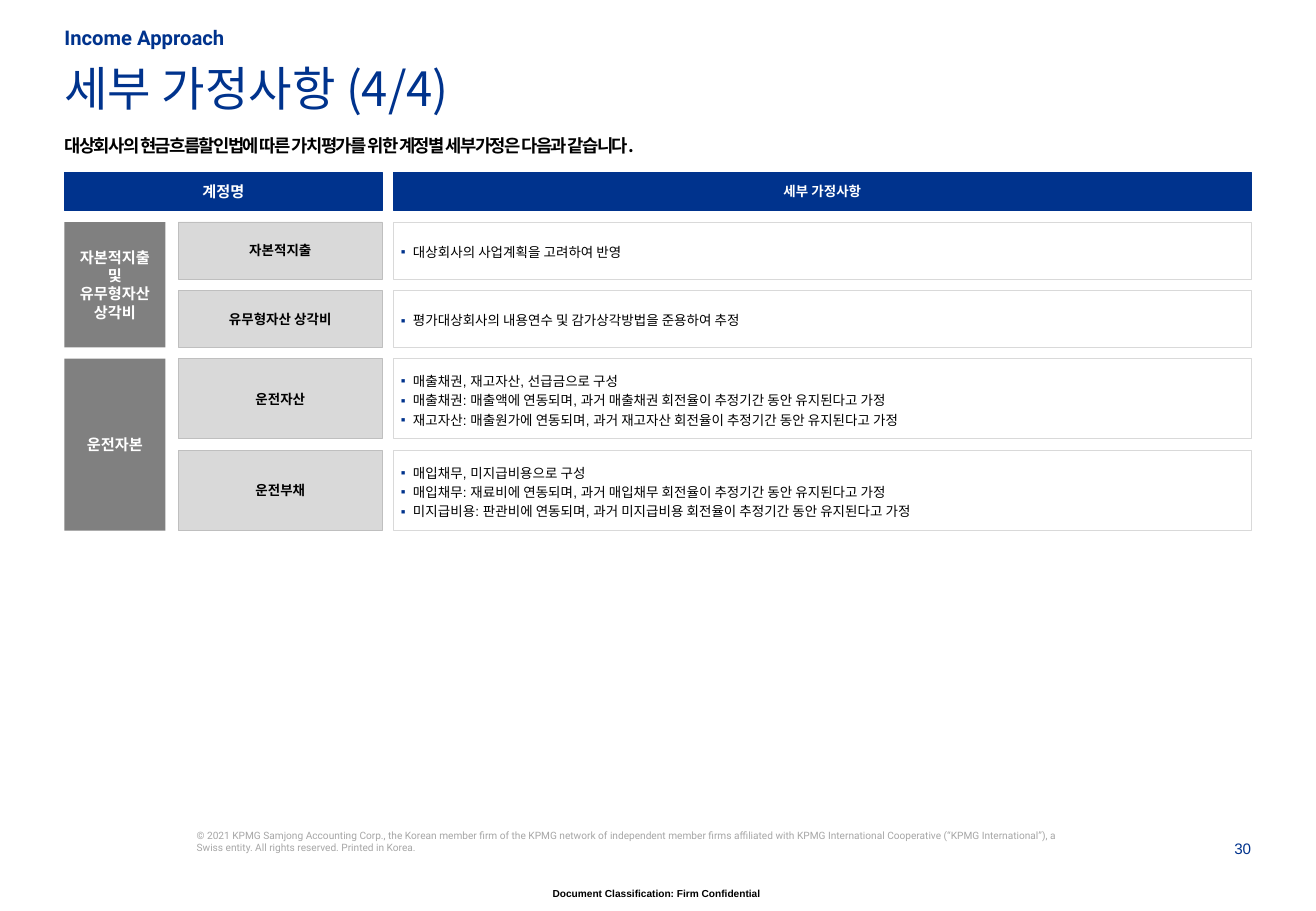
from dataclasses import dataclass

from lxml.etree import SubElement
from pptx import Presentation
from pptx.dml.color import RGBColor
from pptx.enum.shapes import MSO_SHAPE
from pptx.enum.text import MSO_ANCHOR, MSO_AUTO_SIZE, PP_ALIGN
from pptx.oxml.ns import qn
from pptx.util import Pt


@dataclass(frozen=True)
class Theme:
    navy: str = "00338D"
    gray: str = "808080"
    pale: str = "D9D9D9"
    edge: str = "BFBFBF"
    muted: str = "A6A6A6"
    white: str = "FFFFFF"
    black: str = "000000"
    title: float = 28
    section: float = 12
    lead: float = 10.5
    label: float = 9
    body: float = 8
    legal: float = 6
    latin: str = "Arial"
    english: str = "Roboto"
    korean: str = "Noto Sans CJK KR"


THEME = Theme()
LEFT, RIGHT = 38.2, 741.6
ACCOUNT_LEFT, ACCOUNT_WIDTH = 105.8, 120.8
DETAIL_LEFT = 233.3
DETAIL_WIDTH = RIGHT - DETAIL_LEFT
GROUP_WIDTH = 59.8
HEADER_TOP, HEADER_HEIGHT = 102.4, 22.4
ROWS_TOP, ROW_GAP = 131.6, 6.7

GROUPS = [
    (["자본적지출", "및", "유무형자산", "상각비"], 33.8, [
        ("자본적지출", ["대상회사의 사업계획을 고려하여 반영"]),
        ("유무형자산 상각비", ["평가대상회사의 내용연수 및 감가상각방법을 준용하여 추정"]),
    ]),
    (["운전자본"], 47.6, [
        ("운전자산", [
            "매출채권, 재고자산, 선급금으로 구성",
            "매출채권: 매출액에 연동되며, 과거 매출채권 회전율이 추정기간 동안 유지된다고 가정",
            "재고자산: 매출원가에 연동되며, 과거 재고자산 회전율이 추정기간 동안 유지된다고 가정",
        ]),
        ("운전부채", [
            "매입채무, 미지급비용으로 구성",
            "매입채무: 재료비에 연동되며, 과거 매입채무 회전율이 추정기간 동안 유지된다고 가정",
            "미지급비용: 판관비에 연동되며, 과거 미지급비용 회전율이 추정기간 동안 유지된다고 가정",
        ]),
    ]),
]


def color(value):
    return RGBColor.from_string(value)


def write(box, lines, size, ink, bold=False, font=THEME.latin, align=PP_ALIGN.LEFT,
          anchor=MSO_ANCHOR.TOP, margins=(0, 0, 0, 0)):
    frame = box.text_frame
    frame.text = "\n".join(lines)
    frame.word_wrap = True
    frame.auto_size = MSO_AUTO_SIZE.NONE
    frame.vertical_anchor = anchor
    frame.margin_left, frame.margin_top, frame.margin_right, frame.margin_bottom = map(Pt, margins)
    for para in frame.paragraphs:
        para.alignment = align
        for span in para.runs:
            span.font.size = Pt(size)
            span.font.bold = bold
            span.font.name = font
            span.font.color.rgb = color(ink)
            SubElement(span.font._element, qn("a:ea"), typeface=THEME.korean)


def add_bullet(para):
    properties = para._p.get_or_add_pPr()
    properties.set("marL", str(Pt(7.2)))
    properties.set("indent", str(Pt(-7.2)))
    bullet_color = SubElement(properties, qn("a:buClr"))
    SubElement(bullet_color, qn("a:srgbClr"), val=THEME.navy)
    SubElement(properties, qn("a:buFont"), typeface=THEME.latin)
    SubElement(properties, qn("a:buChar"), char="▪")
    para.line_spacing = 1.2


def clear_bullet(para):
    properties = para._p.get_or_add_pPr()
    properties.set("marL", "0")
    properties.set("indent", "0")
    SubElement(properties, qn("a:buNone"))
    para.space_before = Pt(0)


def place(box, left, top, width, height):
    box.left, box.top, box.width, box.height = map(Pt, (left, top, width, height))


def add_panel(page, left, top, width, height, fill, line=None):
    panel = page.shapes.add_shape(MSO_SHAPE.RECTANGLE, *map(Pt, (left, top, width, height)))
    panel.shadow.inherit = False
    panel.fill.solid()
    panel.fill.fore_color.rgb = color(fill)
    if line:
        panel.line.color.rgb = color(line)
        panel.line.width = Pt(0.5)
    else:
        panel.line.fill.background()
    return panel


def add_label(page, area, lines, size, ink, fill, line=None, margin=4.3):
    panel = add_panel(page, *area, fill, line)
    write(panel, lines, size, ink, True, align=PP_ALIGN.CENTER,
          anchor=MSO_ANCHOR.MIDDLE, margins=(margin,) * 4)


def add_details(page, top, height, lines):
    panel = add_panel(page, DETAIL_LEFT, top, DETAIL_WIDTH, height, THEME.white, THEME.pale)
    write(panel, lines, THEME.body, THEME.black,
          anchor=MSO_ANCHOR.MIDDLE, margins=(4.3, 7.2, 5.8, 7.2))
    for para in panel.text_frame.paragraphs:
        add_bullet(para)


def add_note(page, area, text, size, ink, **style):
    write(page.shapes.add_textbox(*map(Pt, area)), [text], size, ink, **style)


def add_headings(page):
    title, section, lead = page.placeholders
    place(title, LEFT, 35.3, RIGHT - LEFT, 56.9)
    write(title, ["세부 가정사항 (4/4)"], THEME.title, THEME.navy, font=THEME.korean)
    place(section, LEFT, 15.8, 342.7, 13.7)
    write(section, ["Income Approach"], THEME.section, THEME.navy, True, THEME.english,
          anchor=MSO_ANCHOR.BOTTOM)
    place(lead, LEFT, 79.9, RIGHT - LEFT, 31.7)
    write(lead, ["대상회사의 현금흐름할인법에 따른 가치평가를 위한 계정별 세부가정은 다음과 같습니다."],
          THEME.lead, THEME.black, True, THEME.korean)
    for box in (section, lead):
        clear_bullet(box.text_frame.paragraphs[0])
    lead_para = lead.text_frame.paragraphs[0]
    lead_para.space_after = Pt(6)
    lead_para.runs[0].font._element.set("spc", "-90")


def add_assumptions(page):
    account_right = ACCOUNT_LEFT + ACCOUNT_WIDTH
    for left, right, text, size in (
        (LEFT, account_right, "계정명", THEME.label),
        (DETAIL_LEFT, RIGHT, "세부 가정사항", THEME.body),
    ):
        add_label(page, (left, HEADER_TOP, right - left, HEADER_HEIGHT), [text], size,
                  THEME.white, THEME.navy, THEME.navy)
    top = ROWS_TOP
    for group, height, accounts in GROUPS:
        group_height = len(accounts) * (height + ROW_GAP) - ROW_GAP
        add_label(page, (LEFT, top, GROUP_WIDTH, group_height), group, THEME.label,
                  THEME.white, THEME.gray)
        for account, details in accounts:
            add_label(page, (ACCOUNT_LEFT, top, ACCOUNT_WIDTH, height), [account], THEME.body,
                      THEME.black, THEME.pale, THEME.edge, 2.9)
            add_details(page, top, height, details)
            top += height + ROW_GAP


def add_footer(page):
    add_note(page, (116.6, 491.8, 518.4, 20.2),
             "© 2021 KPMG Samjong Accounting Corp., the Korean member firm of the KPMG network of "
             "independent member firms affiliated with KPMG International Cooperative "
             "(“KPMG International”), a Swiss entity. All rights reserved. Printed in Korea.",
             THEME.legal, THEME.muted, font=THEME.english)
    add_note(page, (710.6, 497.5, 31, 11.5), "30", THEME.label, THEME.navy, align=PP_ALIGN.RIGHT)
    add_note(page, (307.4, 526.3, 163.4, 9.4), "Document Classification: Firm Confidential",
             THEME.legal, THEME.black, bold=True, align=PP_ALIGN.CENTER)


def main():
    deck = Presentation()
    deck.slide_width, deck.slide_height = Pt(780), Pt(540)
    page = deck.slides.add_slide(deck.slide_layouts.get_by_name("Two Content"))
    add_headings(page)
    add_assumptions(page)
    add_footer(page)
    deck.save("out.pptx")


if __name__ == "__main__":
    main()
